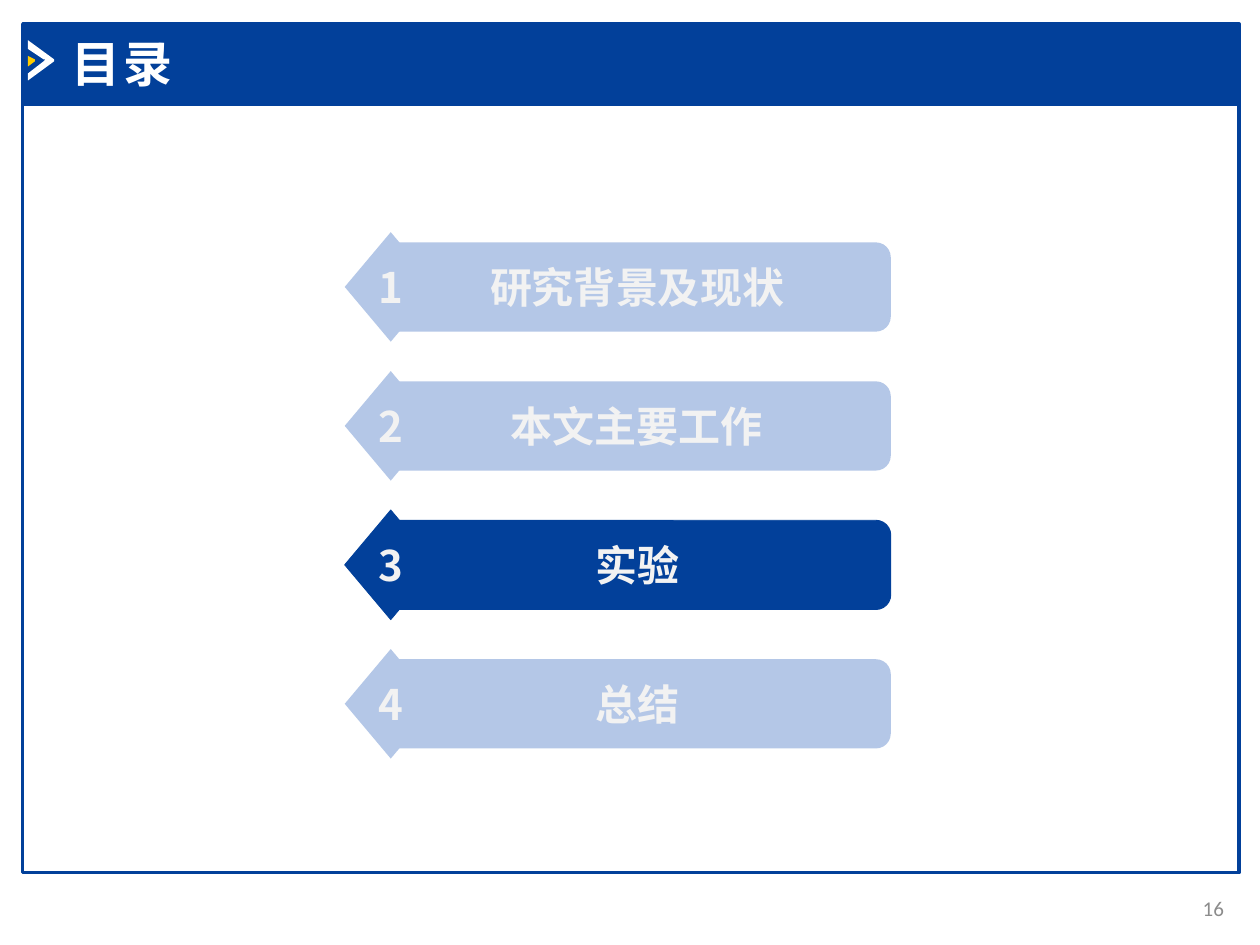
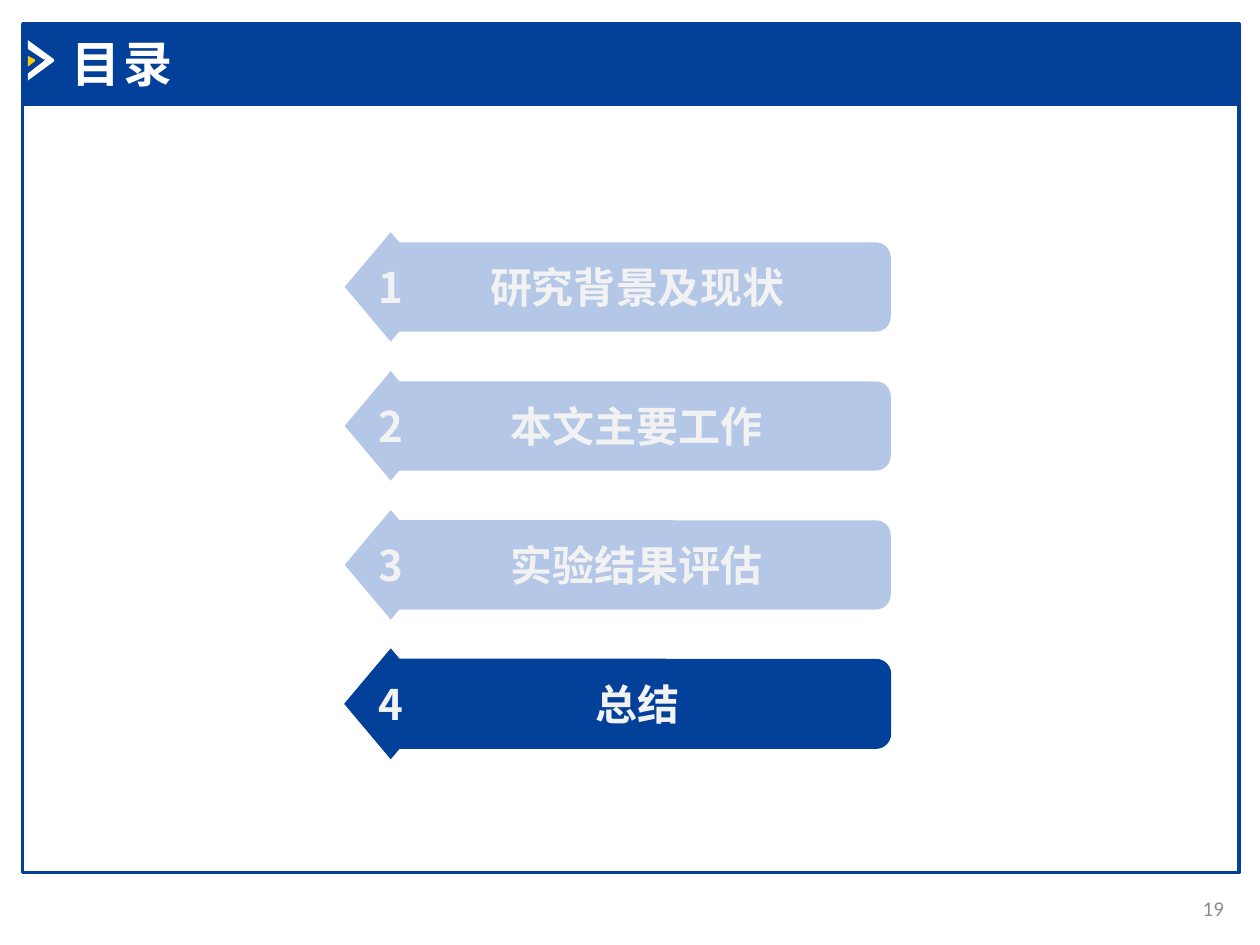
from pptx import Presentation
from pptx import util as u
from pptx.dml.color import RGBColor
from pptx.enum import shapes, text
from pptx.oxml.ns import qn
from lxml import etree

Pt = u.Pt
COLORS = {
    "navy": "02409A",
    "pale": "B4C7E7",
    "white": "FFFFFF",
    "label": "F2F2F2",
    "yellow": "FFCC00",
    "grey": "8C8C8C",
}
LATIN, CJK = "Calibri", "Noto Sans CJK SC"

# Frame and header band
FRAME_X, FRAME_W = 13, 695
BAND_Y, BAND_H, BODY_H = 13.7, 46, 439

# Agenda rows
BAR_X, BAR_W, BAR_H = 219, 290, 51
DIAMOND_X, DIAMOND_W, DIAMOND_H = 197, 52.6, 62.6
FIRST_ROW_MID, ROW_PITCH = 164, 79.4

# Header marker outlines
CHEVRON = [(16.4, 23.4), (16, 24.3), (16, 26.4), (16.5, 27.6), (25.3, 33.8),
           (25.6, 34.5), (25.3, 35.2), (16.5, 41.6), (16, 42.8), (16, 45),
           (16.4, 45.5), (30.8, 35.2), (31.1, 34.5), (30.8, 33.8)]
WEDGE = [(16.4, 31.5), (16, 32.2), (16, 37), (16.4, 37.6),
         (20.2, 35.2), (20.5, 34.5), (20.2, 33.8)]


class Deck:
    def __init__(self):
        self.prs = Presentation()
        self.prs.slide_width, self.prs.slide_height = Pt(720), Pt(540)
        self.s = None

    def color(self, name):
        return RGBColor.from_string(COLORS[name])

    def paint(self, sp, fill=None, line=None, width=1):
        sp.shadow.inherit = False
        if fill:
            sp.fill.solid()
            sp.fill.fore_color.rgb = self.color(fill)
        else:
            sp.fill.background()
        if line:
            sp.line.color.rgb = self.color(line)
            sp.line.width = Pt(width)
        else:
            sp.line.fill.background()

    def shape(self, kind, x, y, w, h, **style):
        sp = self.s.shapes.add_shape(kind, Pt(x), Pt(y), Pt(w), Pt(h))
        self.paint(sp, **style)
        return sp

    def outline(self, points, fill):
        fb = self.s.shapes.build_freeform(*points[0], scale=Pt(1))
        fb.add_line_segments(points[1:], close=True)
        self.paint(fb.convert_to_shape(), fill)

    def add_text(self, sp, words, size, color, align, font=LATIN, bold=True,
                 anchor=text.MSO_ANCHOR.MIDDLE, wrap=False, spacing=None):
        tf = sp.text_frame
        tf.word_wrap, tf.vertical_anchor = wrap, anchor
        p = tf.paragraphs[0]
        p.alignment = align
        r = p.add_run()
        r.text = words
        r.font.name, r.font.size, r.font.bold = font, Pt(size), bold
        r.font.color.rgb = self.color(color)
        rpr = r._r.get_or_add_rPr()
        etree.SubElement(rpr, qn("a:ea")).set("typeface", CJK)
        if spacing:
            rpr.set("spc", str(spacing * 100))

    def textbox(self, x, y, w, h, words, size, color, align, **style):
        sp = self.s.shapes.add_textbox(Pt(x), Pt(y), Pt(w), Pt(h))
        self.add_text(sp, words, size, color, align, wrap=True, **style)
        return sp

    def slide(self, title, number):
        self.s = self.prs.slides.add_slide(self.prs.slide_layouts[6])
        rect = shapes.MSO_SHAPE.RECTANGLE
        self.shape(rect, FRAME_X, BAND_Y + BAND_H, FRAME_W, BODY_H,
                   line="navy", width=2)
        self.shape(rect, FRAME_X, BAND_Y, FRAME_W, BAND_H,
                   fill="navy", line="navy", width=2)
        self.outline(CHEVRON, "white")
        self.outline(WEDGE, "yellow")
        self.textbox(664, 504.6, 42.5, 28.8, str(number), 12, "grey",
                     text.PP_ALIGN.RIGHT, bold=False)
        sp = self.textbox(33.8, 15.8, 256, 41, title, 28, "white",
                          text.PP_ALIGN.LEFT, anchor=text.MSO_ANCHOR.TOP,
                          spacing=2)
        sp.text_frame.auto_size = text.MSO_AUTO_SIZE.SHAPE_TO_FIT_TEXT

    def agenda_row(self, index, label, active):
        mid = FIRST_ROW_MID + index * ROW_PITCH
        style = dict(fill="navy", line="navy", width=0.5) if active else dict(fill="pale")
        bar = self.shape(shapes.MSO_SHAPE.ROUNDED_RECTANGLE,
                         BAR_X, mid - BAR_H / 2, BAR_W, BAR_H, **style)
        self.add_text(bar, label, 24, "label", text.PP_ALIGN.CENTER)
        diamond = self.shape(shapes.MSO_SHAPE.DIAMOND, DIAMOND_X,
                             mid - DIAMOND_H / 2, DIAMOND_W, DIAMOND_H, **style)
        self.add_text(diamond, str(index + 1), 24, "label",
                      text.PP_ALIGN.CENTER, font=CJK)

    def agenda(self, number, labels, current):
        self.slide("目录", number)
        for i, label in enumerate(labels):
            self.agenda_row(i, label, label == current)


def main():
    deck = Deck()
    # Experiments section
    deck.agenda(16, ["研究背景及现状", "本文主要工作", "实验", "总结"], "实验")
    # Summary section
    deck.agenda(19, ["研究背景及现状", "本文主要工作", "实验结果评估", "总结"], "总结")
    deck.prs.save("out.pptx")


if __name__ == "__main__":
    main()
